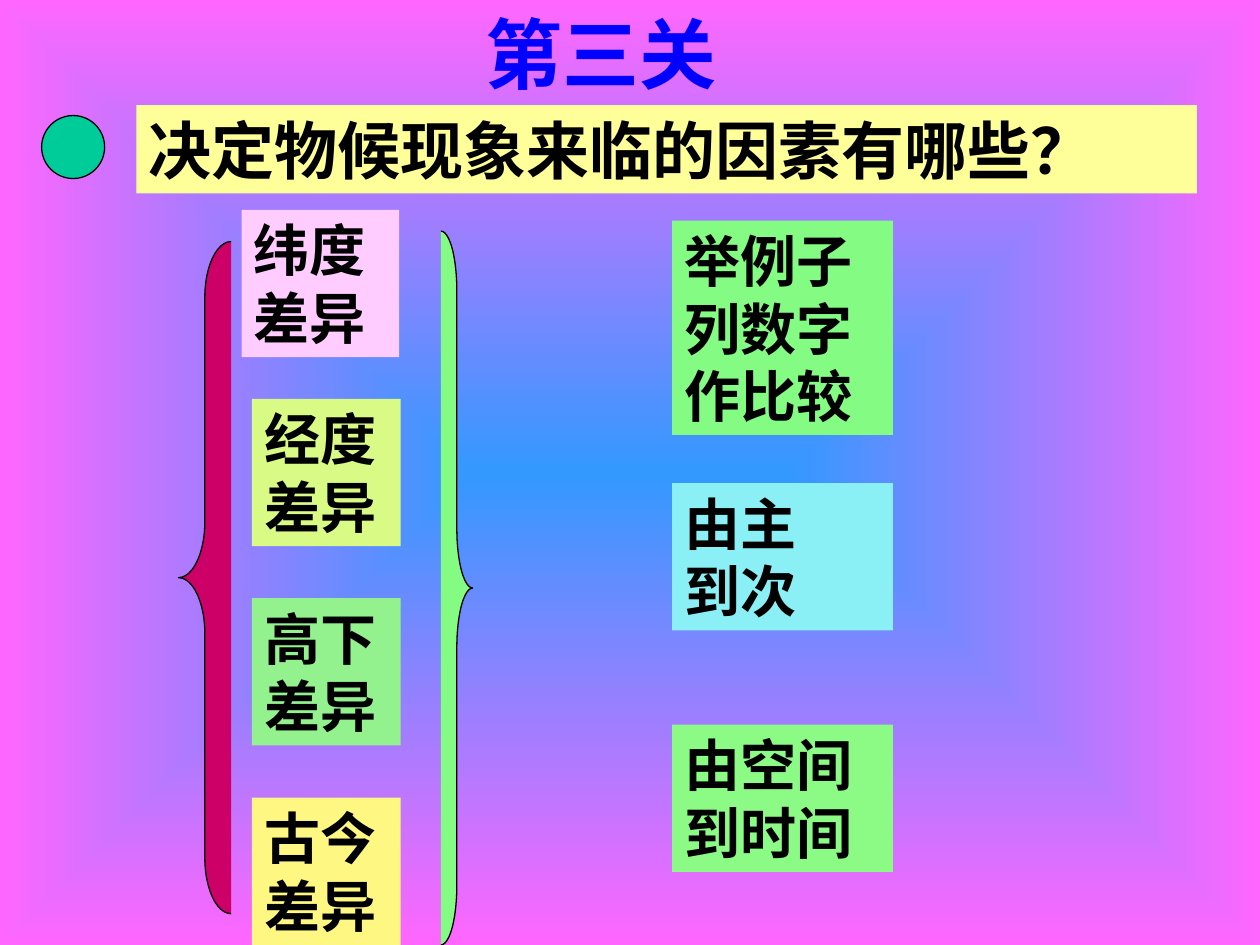
"""Build the slide on the factors that decide when seasonal phenomena arrive."""
from dataclasses import dataclass

from lxml import etree
from pptx import Presentation
from pptx.dml.color import RGBColor
from pptx.enum.shapes import MSO_SHAPE
from pptx.enum.text import MSO_ANCHOR, MSO_AUTO_SIZE, PP_ALIGN
from pptx.oxml.ns import qn
from pptx.util import Cm, Pt

LEFT_BRACE = MSO_SHAPE.LEFT_BRACE
RIGHT_BRACE = MSO_SHAPE.RIGHT_BRACE
OVAL = MSO_SHAPE.OVAL
TOP = MSO_ANCHOR.TOP
LEFT = PP_ALIGN.LEFT
FIT_SHAPE = MSO_AUTO_SIZE.SHAPE_TO_FIT_TEXT

BLACK = RGBColor(0x00, 0x00, 0x00)
TITLE_BLUE = RGBColor(0x00, 0x00, 0xFF)
SKY_BLUE = RGBColor(0x33, 0x99, 0xFF)
MAGENTA = RGBColor(0xFF, 0x66, 0xFF)
CREAM = RGBColor(0xFF, 0xFF, 0x99)
TEAL = RGBColor(0x00, 0xCC, 0x99)
CRIMSON = RGBColor(0xCC, 0x00, 0x66)
PINK = RGBColor(0xFF, 0xCC, 0xFF)
LIME = RGBColor(0xD9, 0xFB, 0x85)
SOFT_GREEN = RGBColor(0x93, 0xF2, 0x8E)
YELLOW = RGBColor(0xFE, 0xF8, 0x82)
GREEN = RGBColor(0x84, 0xFC, 0x84)
AQUA = RGBColor(0x8B, 0xF0, 0xF5)
SPRING_GREEN = RGBColor(0x8B, 0xFB, 0x85)

FACTOR_LEFT, FACTOR_TOP, FACTOR_STEP = 5.08, 8.04, 4.02
METHOD_LEFT, METHOD_WIDTH = 13.55, 4.45
TWO_LINES, THREE_LINES = 2.97, 4.32


@dataclass
class Card:
    lines: list[str]
    color: RGBColor
    left: float
    top: float
    width: float
    height: float = TWO_LINES
    size: int = 32


@dataclass
class Figure:
    kind: MSO_SHAPE
    color: RGBColor
    left: float
    top: float
    width: float
    height: float


FIGURES = [
    Figure(OVAL, TEAL, 0.84, 2.33, 1.27, 1.27),
    Figure(LEFT_BRACE, CRIMSON, 3.6, 4.87, 1.06, 13.55),
    Figure(RIGHT_BRACE, GREEN, 8.89, 4.66, 0.64, 14.39),
]

CARDS = [
    Card(["决定物候现象来临的因素有哪些？"], CREAM, 2.75, 2.12, 21.38, 1.78, 36),
    Card(["纬度", "差异"], PINK, 4.87, 4.23, 3.18),
    *(
        Card([factor, "差异"], color, FACTOR_LEFT, FACTOR_TOP + row * FACTOR_STEP, 3)
        for row, (factor, color) in enumerate(
            [("经度", LIME), ("高下", SOFT_GREEN), ("古今", YELLOW)]
        )
    ),
    Card(["举例子", "列数字", "作比较"], GREEN, METHOD_LEFT, 4.45, METHOD_WIDTH, THREE_LINES),
    Card(["由主", "到次"], AQUA, METHOD_LEFT, 9.74, METHOD_WIDTH),
    Card(["由空间", "到时间"], SPRING_GREEN, METHOD_LEFT, 14.61, METHOD_WIDTH),
]


def paint_background(page) -> None:
    fill = page.background.fill
    fill.gradient()
    for stop, color in zip(fill.gradient_stops, (SKY_BLUE, MAGENTA)):
        stop.color.rgb = color
    gradient = page.background._cSld.find(".//" + qn("a:gradFill"))
    linear = gradient.find(qn("a:lin"))
    path = etree.Element(qn("a:path"), path="rect")
    etree.SubElement(path, qn("a:fillToRect"), dict.fromkeys("ltrb", "50000"))
    gradient.replace(linear, path)


def write_lines(box, lines: list[str], font_name: str, size: int, color: RGBColor) -> None:
    frame = box.text_frame
    frame.word_wrap = True
    frame.auto_size = FIT_SHAPE
    frame.vertical_anchor = TOP
    frame.text = "\n".join(lines)
    for para in frame.paragraphs:
        para.alignment = LEFT
        para.font.name = font_name
        para.font.size = Pt(size)
        para.font.bold = True
        para.font.color.rgb = color


def add_title(page) -> None:
    title = page.shapes.title
    title.left, title.top, title.width, title.height = Cm(9.53), Cm(0), Cm(6.6), Cm(2.13)
    write_lines(title, ["第三关"], "Times New Roman", 44, TITLE_BLUE)


def add_figure(page, figure: Figure) -> None:
    shape = page.shapes.add_shape(
        figure.kind, Cm(figure.left), Cm(figure.top), Cm(figure.width), Cm(figure.height)
    )
    shape.shadow.inherit = False
    shape.fill.solid()
    shape.fill.fore_color.rgb = figure.color
    shape.line.color.rgb = BLACK
    shape.line.width = Pt(0.75)
    if figure.kind != OVAL:
        shape.adjustments[0] = figure.height / 12 / figure.width


def add_card(page, card: Card) -> None:
    box = page.shapes.add_textbox(
        Cm(card.left), Cm(card.top), Cm(card.width), Cm(card.height)
    )
    box.fill.solid()
    box.fill.fore_color.rgb = card.color
    write_lines(box, card.lines, "Arial", card.size, BLACK)


def main() -> None:
    deck = Presentation()
    deck.slide_width, deck.slide_height = Cm(25.4), Cm(19.05)
    page = deck.slides.add_slide(deck.slide_layouts.get_by_name("Title Only"))
    paint_background(page)
    add_title(page)
    for figure in FIGURES:
        add_figure(page, figure)
    for card in CARDS:
        add_card(page, card)
    deck.save("out.pptx")


if __name__ == "__main__":
    main()
